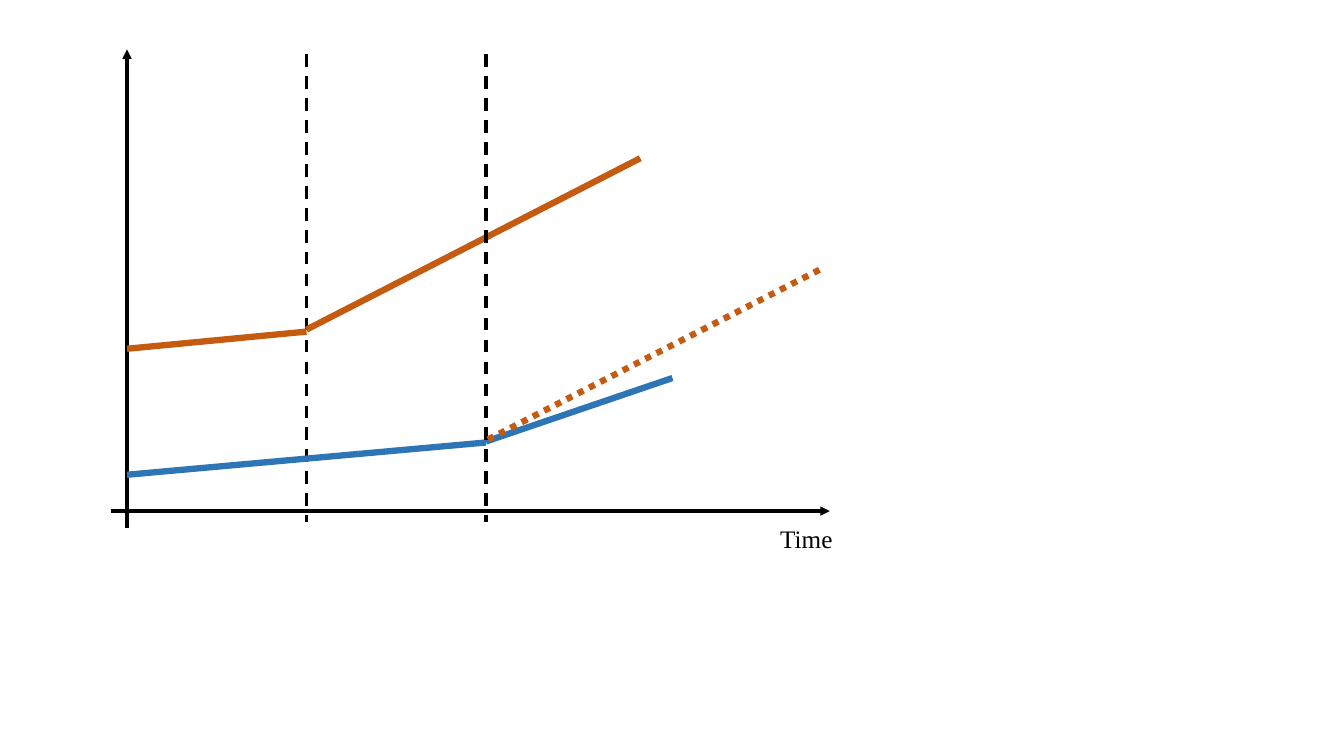
from lxml import etree
from pptx import Presentation
from pptx.dml import color
from pptx.enum import dml, shapes, text
from pptx.oxml import ns
from pptx.util import Inches, Pt

COLORS = {"black": "000000", "blue": "2E75B6", "orange": "C55A11"}
THIN, THICK = 2.25, 4.5

ORIGIN_X, ORIGIN_Y = 1.26, 5.07
FIRST_EVENT, SECOND_EVENT = 3.04, 4.82
EVENT_TOP, EVENT_BOTTOM = 0.54, 5.18
DASH, DOTS = dml.MSO_LINE.DASH, dml.MSO_LINE.ROUND_DOT

# start, end, colour, width, dash, arrow; listed from back to front
LINES = [
    ((1.1, ORIGIN_Y), (8.23, ORIGIN_Y), "black", THIN, None, True),
    ((ORIGIN_X, 5.24), (ORIGIN_X, 0.49), "black", THIN, None, True),
    ((FIRST_EVENT, EVENT_TOP), (FIRST_EVENT, EVENT_BOTTOM), "black", THIN, DASH, False),
    ((ORIGIN_X, 4.71), (SECOND_EVENT, 4.39), "blue", THICK, None, False),
    ((SECOND_EVENT, 4.38), (6.67, 3.75), "blue", THICK, None, False),
    ((ORIGIN_X, 3.46), (FIRST_EVENT, 3.29), "orange", THICK, None, False),
    ((FIRST_EVENT, 3.27), (6.35, 1.57), "orange", THICK, None, False),
    ((SECOND_EVENT, EVENT_TOP), (SECOND_EVENT, EVENT_BOTTOM), "black", THIN, DASH, False),
    ((4.84, 4.36), (8.16, 2.66), "orange", THICK, DOTS, False),
]
AXIS_LABEL = ("Time", (7.64, 5.14, 1.76, 0.4))


def rgb(name):
    return color.RGBColor.from_string(COLORS[name])


def add_line(page, start, end, shade, width, dash, arrow):
    line = page.shapes.add_connector(
        shapes.MSO_CONNECTOR.STRAIGHT, *map(Inches, start + end))
    line.line.color.rgb = rgb(shade)
    line.line.width = Pt(width)
    if dash is not None:
        line.line.dash_style = dash
    if arrow:
        etree.SubElement(line.line._get_or_add_ln(), ns.qn("a:tailEnd"), type="triangle")
    etree.SubElement(line._element.spPr, ns.qn("a:effectLst"))


def add_text(page, words, place, *, size, font, shade):
    box = page.shapes.add_textbox(*map(Inches, place))
    frame = box.text_frame
    frame.word_wrap = True
    frame.auto_size = text.MSO_AUTO_SIZE.SHAPE_TO_FIT_TEXT
    span = frame.paragraphs[0].add_run()
    span.text = words
    span.font.size = Pt(size)
    span.font.name = font
    span.font.color.rgb = rgb(shade)


def main():
    deck = Presentation()
    deck.slide_width, deck.slide_height = Inches(13.33), Inches(7.5)
    page = deck.slides.add_slide(deck.slide_layouts[6])
    for line in LINES:
        add_line(page, *line)
    add_text(page, *AXIS_LABEL, size=18, font="Times New Roman", shade="black")
    deck.save("out.pptx")


if __name__ == "__main__":
    main()
